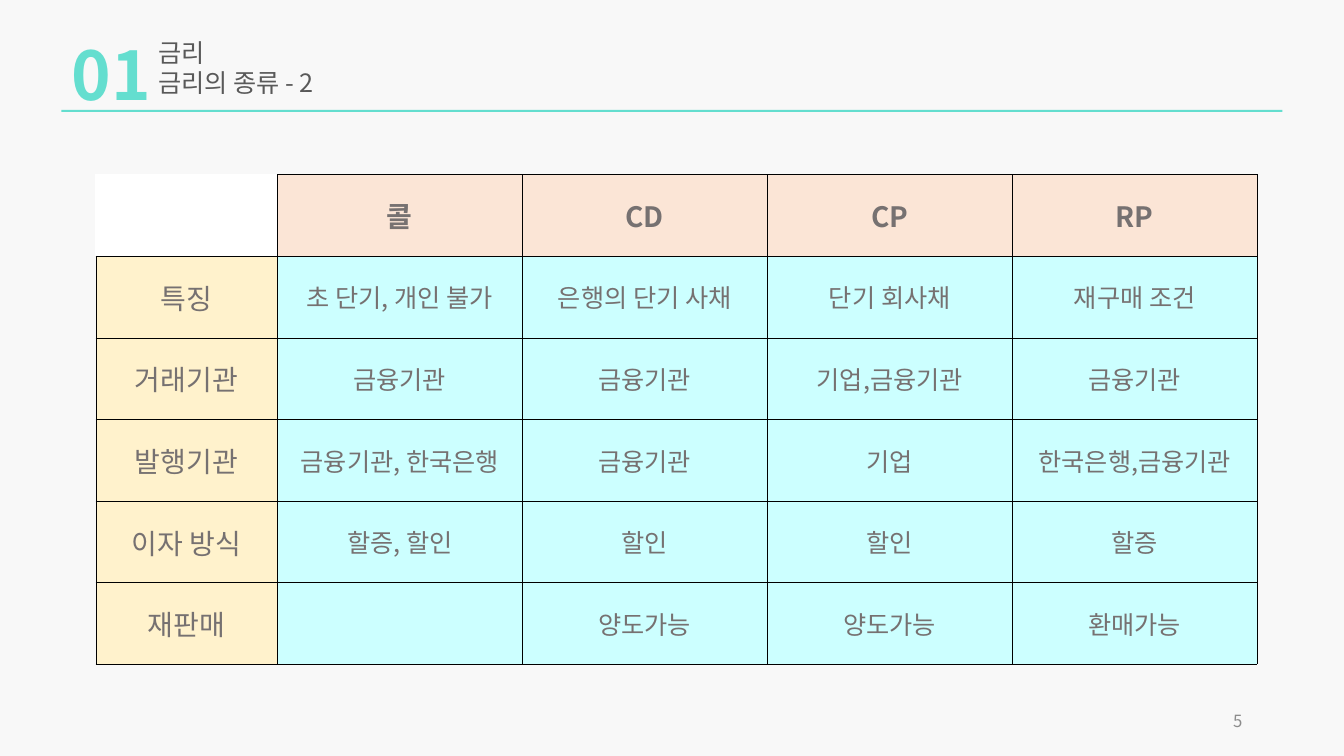
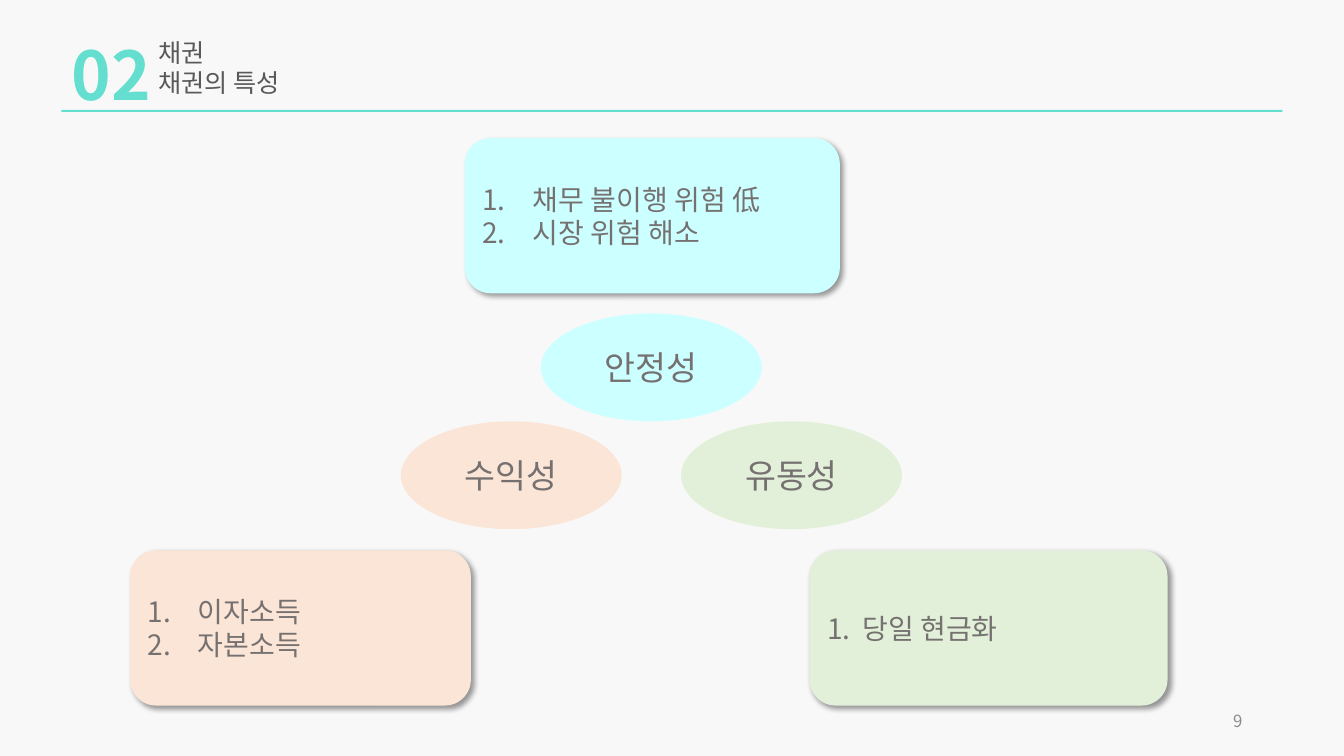
from dataclasses import dataclass

from lxml import etree
from pptx import Presentation
from pptx.dml.color import RGBColor
from pptx.enum.shapes import MSO_SHAPE
from pptx.enum.text import MSO_ANCHOR, PP_ALIGN
from pptx.oxml.ns import qn
from pptx.util import Emu, Inches, Pt

RECT, OVAL, ROUNDED = MSO_SHAPE.RECTANGLE, MSO_SHAPE.OVAL, MSO_SHAPE.ROUNDED_RECTANGLE
TOP, MIDDLE = MSO_ANCHOR.TOP, MSO_ANCHOR.MIDDLE
LEFT, CENTER, RIGHT = PP_ALIGN.LEFT, PP_ALIGN.CENTER, PP_ALIGN.RIGHT


@dataclass(frozen=True)
class Theme:
    """Colours, font and type sizes shared by the slides."""
    font: str = "Noto Sans CJK KR"
    background: str = "F8F8F8"
    accent: str = "64DECF"
    title: str = "595959"
    body: str = "767171"
    page: str = "8C8C8C"
    border: str = "000000"
    white: str = "FFFFFF"
    cyan: str = "CCFFFF"
    peach: str = "FBE5D6"
    green: str = "E2F0D9"
    yellow: str = "FFF2CC"
    number_size: int = 48
    oval_size: int = 24
    label_size: int = 20
    text_size: int = 18
    page_size: int = 12
    line_height: float = 1.2


THEME = Theme()
WIDTH, HEIGHT = 13.33, 7.5

RATES = {
    "number": "01", "title": ["금리", "금리의 종류 - 2"], "page": "5",
    "rows": [
        ["", "콜", "CD", "CP", "RP"],
        ["특징", "초 단기, 개인 불가", "은행의 단기 사채", "단기 회사채", "재구매 조건"],
        ["거래기관", "금융기관", "금융기관", "기업,금융기관", "금융기관"],
        ["발행기관", "금융기관, 한국은행", "금융기관", "기업", "한국은행,금융기관"],
        ["이자 방식", "할증, 할인", "할인", "할인", "할증"],
        ["재판매", "", "양도가능", "양도가능", "환매가능"],
    ],
}
BONDS = {
    "number": "02", "title": ["채권", "채권의 특성"], "page": "9",
    "traits": [
        {"name": "안정성", "fill": THEME.cyan, "column": 0, "row": 0,
         "card": (4.61, 1.37, 3.72), "indent": 0.5,
         "points": ["채무 불이행 위험 低", "시장 위험 해소"]},
        {"name": "수익성", "fill": THEME.peach, "column": -1, "row": 1,
         "card": (1.29, 5.46, 3.38), "indent": 0.5,
         "points": ["이자소득", "자본소득"]},
        {"name": "유동성", "fill": THEME.green, "column": 1, "row": 1,
         "card": (8.03, 5.46, 3.55), "indent": 0.35,
         "points": ["당일 현금화"]},
    ],
}
TABLE_AT = (0.95, 1.73)
LABEL_WIDTH, VALUE_WIDTH, ROW_HEIGHT = 1.8, 2.43, 0.81
OVAL_WIDTH, OVAL_HEIGHT, OVAL_STEP = 2.19, 1.07, 1.39
OVAL_CENTER, OVAL_TOP = 6.46, 3.11
CARD_HEIGHT = 1.54


def rgb(color):
    return RGBColor.from_string(color)


def write(frame, lines, size, color, align=LEFT, anchor=MIDDLE, bold=False, spacing=None):
    frame.word_wrap = True
    frame.vertical_anchor = anchor
    for index, line in enumerate(lines):
        paragraph = frame.add_paragraph() if index else frame.paragraphs[0]
        paragraph.alignment = align
        if spacing:
            paragraph.line_spacing = Pt(size * spacing)
        run = paragraph.add_run()
        run.text = line
        run.font.size, run.font.bold = Pt(size), bold
        run.font.color.rgb = rgb(color)
        run.font.name = THEME.font
        east_asian = etree.SubElement(run.font._element, qn("a:ea"))
        east_asian.set("typeface", THEME.font)


def add_text(slide, box, lines, size, color, **style):
    write(slide.shapes.add_textbox(*map(Inches, box)).text_frame, lines, size, color, **style)


def add_filled(slide, kind, box, fill):
    shape = slide.shapes.add_shape(kind, *map(Inches, box))
    shape.shadow.inherit = False
    shape.fill.solid()
    shape.fill.fore_color.rgb = rgb(fill)
    shape.line.fill.background()
    return shape


def add_shadow(shape):
    effects = shape._element.spPr.find(qn("a:effectLst"))
    shadow = etree.SubElement(effects, qn("a:outerShdw"), blurRad=str(Pt(4)), dist=str(Pt(3)),
                              dir="2700000", algn="tl", rotWithShape="0")
    color = etree.SubElement(shadow, qn("a:srgbClr"), val=THEME.border)
    etree.SubElement(color, qn("a:alpha"), val="40000")


def number_points(frame, indent):
    for paragraph in frame.paragraphs:
        properties = paragraph._p.get_or_add_pPr()
        properties.set("marL", str(Inches(indent)))
        properties.set("indent", str(-Inches(indent)))
        etree.SubElement(properties, qn("a:buFont"), typeface=THEME.font)
        etree.SubElement(properties, qn("a:buAutoNum"), type="arabicPeriod")


def add_borders(cell, sides):
    properties = cell._tc.get_or_add_tcPr()
    for position, side in enumerate(sides):
        line = etree.Element(qn(f"a:ln{side}"), w=str(Pt(0.25)))
        fill = etree.SubElement(line, qn("a:solidFill"))
        etree.SubElement(fill, qn("a:srgbClr"), val=THEME.border)
        properties.insert(position, line)


def start_slide(deck, content):
    slide = deck.slides.add_slide(deck.slide_layouts[6])
    slide.background.fill.solid()
    slide.background.fill.fore_color.rgb = rgb(THEME.background)
    add_filled(slide, RECT, (0.61, 1.09, WIDTH - 2 * 0.61, 0.02), THEME.accent)
    add_text(slide, (1.47, 0.32, 3.5, 0.71), content["title"], THEME.text_size, THEME.title,
             anchor=TOP, spacing=THEME.line_height)
    add_text(slide, (0.61, 0.21, 1.04, 0.91), [content["number"]], THEME.number_size,
             THEME.accent, anchor=TOP, bold=True, spacing=1.3)
    add_text(slide, (9.42, 6.95, 3, 0.4), [content["page"]], THEME.page_size, THEME.page,
             align=RIGHT)
    return slide


def add_rates_table(slide, rows):
    widths = [LABEL_WIDTH] + [VALUE_WIDTH] * (len(rows[0]) - 1)
    size = (sum(widths), ROW_HEIGHT * len(rows))
    table = slide.shapes.add_table(len(rows), len(widths),
                                   *map(Inches, TABLE_AT + size)).table
    table.first_row = table.horz_banding = False
    for column, width in zip(table.columns, widths):
        column.width = Inches(width)
    for r, row in enumerate(rows):
        table.rows[r].height = Inches(ROW_HEIGHT)
        for c, text in enumerate(row):
            cell = table.cell(r, c)
            corner, label = r == c == 0, r == 0 or c == 0
            fill = (THEME.white if corner else THEME.peach if r == 0
                    else THEME.yellow if c == 0 else THEME.cyan)
            cell.fill.solid()
            cell.fill.fore_color.rgb = rgb(fill)
            add_borders(cell, "RB" if corner else "LRTB")
            cell.vertical_anchor = MIDDLE
            if text:
                write(cell.text_frame, [text], THEME.label_size if label else THEME.text_size,
                      THEME.body, align=CENTER, bold=r == 0)


def add_trait(slide, trait):
    left = OVAL_CENTER + trait["column"] * OVAL_STEP - OVAL_WIDTH / 2
    top = OVAL_TOP + trait["row"] * OVAL_HEIGHT
    oval = add_filled(slide, OVAL, (left, top, OVAL_WIDTH, OVAL_HEIGHT), trait["fill"])
    write(oval.text_frame, [trait["name"]], THEME.oval_size, THEME.body, align=CENTER)
    oval.text_frame.margin_left = oval.text_frame.margin_right = Emu(0)
    card = add_filled(slide, ROUNDED, trait["card"] + (CARD_HEIGHT,), trait["fill"])
    add_shadow(card)
    write(card.text_frame, trait["points"], THEME.label_size, THEME.body,
          spacing=THEME.line_height)
    number_points(card.text_frame, trait["indent"])


def main():
    """Build the interest rate and bond slides."""
    deck = Presentation()
    deck.slide_width, deck.slide_height = Inches(WIDTH), Inches(HEIGHT)
    add_rates_table(start_slide(deck, RATES), RATES["rows"])
    bonds = start_slide(deck, BONDS)
    for trait in BONDS["traits"]:
        add_trait(bonds, trait)
    deck.save("out.pptx")


if __name__ == "__main__":
    main()
